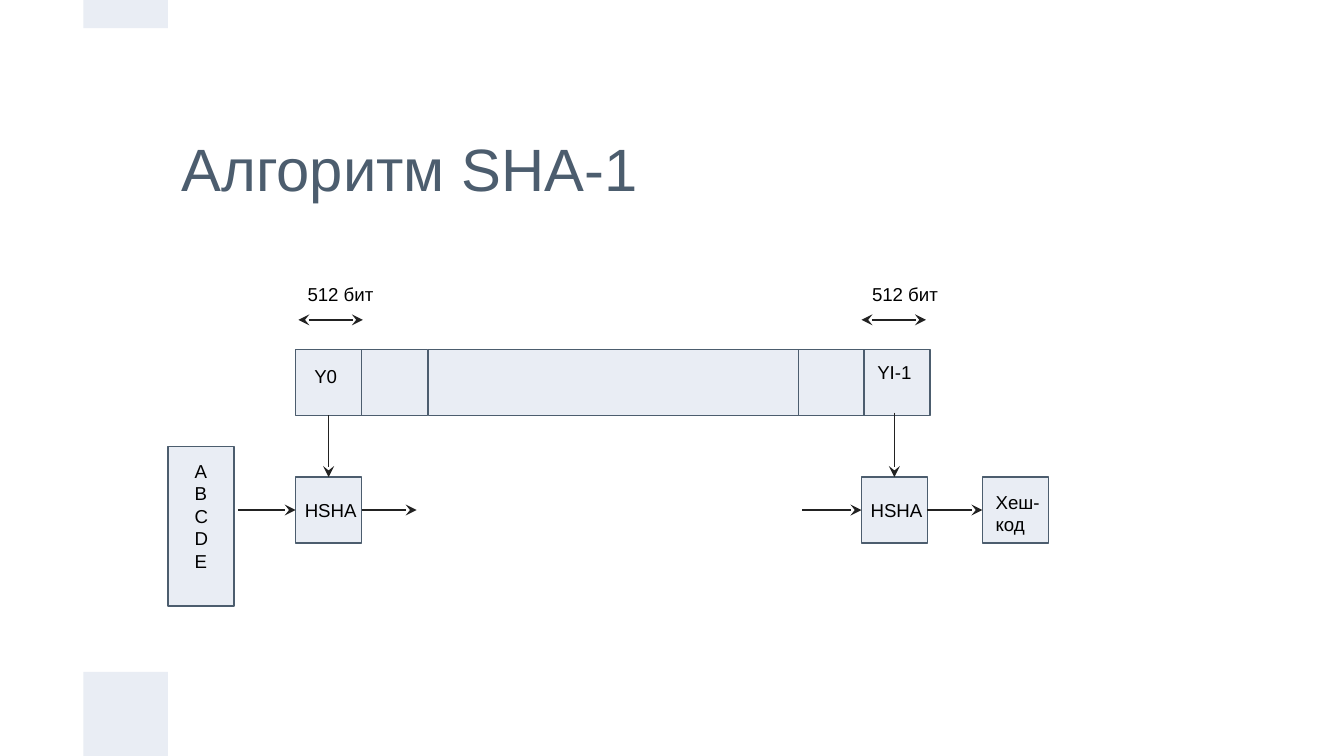
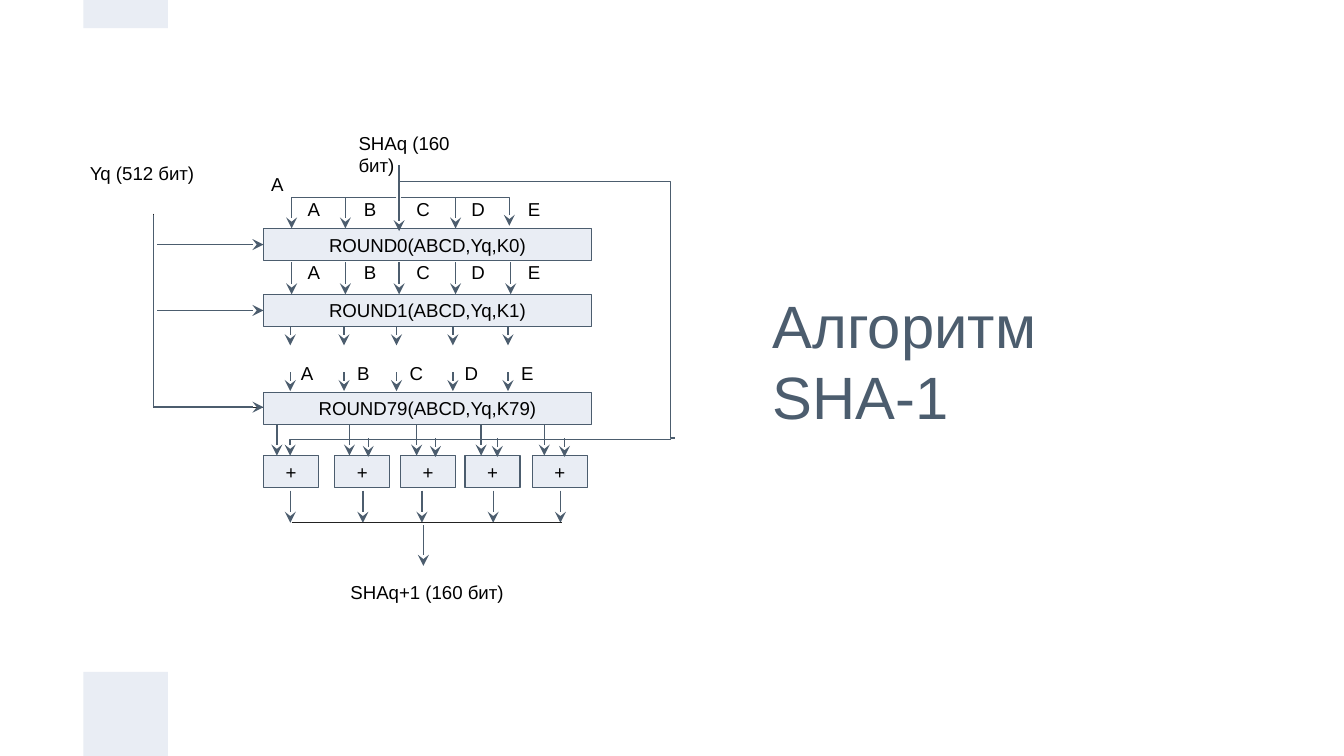
import lxml.etree
import pptx
import pptx.dml.color
import pptx.enum.shapes
import pptx.enum.text
import pptx.oxml.ns
import pptx.util

Inches = pptx.util.Inches
Pt = pptx.util.Pt
qn = pptx.oxml.ns.qn
RGBColor = pptx.dml.color.RGBColor
RECT = pptx.enum.shapes.MSO_SHAPE.RECTANGLE
KIND = pptx.enum.shapes.MSO_CONNECTOR
ALIGN = pptx.enum.text.PP_ALIGN
ANCHOR = pptx.enum.text.MSO_ANCHOR

PALE = RGBColor(0xE9, 0xED, 0xF4)
SLATE = RGBColor(0x4C, 0x5D, 0x6E)
DARK = RGBColor(0x22, 0x22, 0x22)
BLACK = RGBColor(0, 0, 0)
TOP, LEFT, BOTTOM, RIGHT = range(4)


def box(slide, x, y, w, h, text="", filled=True):
    place = [Inches(v) for v in (x, y, w, h)]
    if filled:
        shape = slide.shapes.add_shape(RECT, *place)
        shape.shadow.inherit = False
        shape.fill.solid()
        shape.fill.fore_color.rgb = PALE
        shape.line.color.rgb = SLATE
        shape.line.width = Pt(0.75)
    else:
        shape = slide.shapes.add_textbox(*place)
    frame = shape.text_frame
    frame.word_wrap = True
    frame.vertical_anchor = ANCHOR.MIDDLE if filled else ANCHOR.TOP
    frame.margin_left = frame.margin_right = Inches(0.1)
    frame.margin_top = frame.margin_bottom = Inches(0.1)
    frame.text = text
    for para in frame.paragraphs:
        para.alignment = ALIGN.CENTER if filled else ALIGN.LEFT
        for run in para.runs:
            run.font.name = "Arial"
            run.font.size = Pt(10)
            run.font.color.rgb = BLACK
    return shape


def link(slide, x1, y1, x2, y2, color=SLATE, ends=("tailEnd",), bend=None):
    kind = KIND.STRAIGHT if bend is None else KIND.ELBOW
    line = slide.shapes.add_connector(kind, *[Inches(v) for v in (x1, y1, x2, y2)])
    line.line.color.rgb = color
    line.line.width = Pt(0.75)
    props = line.element.spPr
    for end in ends:
        lxml.etree.SubElement(props.get_or_add_ln(), qn("a:" + end), type="stealth")
    lxml.etree.SubElement(props, qn("a:effectLst"))
    if bend == 1:
        props.prstGeom.set("prst", "bentConnector2")
    elif bend is not None:
        guides = props.prstGeom.find(qn("a:avLst"))
        lxml.etree.SubElement(guides, qn("a:gd"), name="adj1", fmla=f"val {round(bend * 100000)}")
    return line


deck = pptx.Presentation()
deck.slide_width = Inches(10)
deck.slide_height = deck.slide_width * 9 // 16

slides = []
for place in [(1.25, 0.62, 7.5, 1.25), (5.65, 0.85, 3.1, 3.66)]:
    slide = deck.slides.add_slide(deck.slide_layouts[5])
    for y, h in [(5, 0.63), (0, 0.21)]:
        band = box(slide, 0.62, y, 0.63, h)
        band.line.fill.background()
    title = slide.shapes.title
    title.left, title.top, title.width, title.height = [Inches(v) for v in place]
    frame = title.text_frame
    frame.text = "Алгоритм SHA-1"
    frame.word_wrap = True
    frame.vertical_anchor = ANCHOR.MIDDLE
    frame.margin_left = frame.margin_right = Inches(0.1)
    frame.margin_top = frame.margin_bottom = Inches(0.1)
    para = frame.paragraphs[0]
    para.alignment = ALIGN.LEFT
    font = para.runs[0].font
    font.name = "Arial"
    font.size = Pt(32)
    font.color.rgb = SLATE
    slides.append(slide)

chain, steps = slides

side = 0.49
blocks = [box(chain, x, 2.6, w, side) for x, w in
          [(2.2, side), (2.69, side), (3.19, 2.75), (5.94, side), (6.43, side)]]
box(chain, 1.25, 3.32, side, 1.19)
first, last, code = [box(chain, x, 3.55, side, side) for x in (2.2, 6.41, 7.31)]

for x in (2.22, 6.41):
    link(chain, x, 2.38, x + 0.48, 2.38, DARK, ("headEnd", "tailEnd"))
feed = link(chain, 2.45, 3.09, 2.45, 3.55, DARK)
feed.begin_connect(blocks[0], BOTTOM)
feed.end_connect(first, TOP)
mid = 6.41 + side / 2
link(chain, mid, 3.07, mid, 3.55, DARK).end_connect(last, TOP)
row = 3.55 + side / 2
link(chain, 1.77, row, 2.2, row, DARK).end_connect(first, LEFT)
link(chain, 2.69, row, 3.1, row, DARK).begin_connect(first, RIGHT)
link(chain, 5.97, row, 6.41, row, DARK).end_connect(last, LEFT)
result = link(chain, 6.9, row, 7.31, row, DARK)
result.begin_connect(last, RIGHT)
result.end_connect(code, LEFT)

for x, y, w, h, text in [
    (2.24, 2.63, 0.49, 0.49, "Y0"),
    (6.43, 2.6, 0.6, 0.49, "YI-1"),
    (2.17, 3.63, 0.6, 0.49, "HSHA"),
    (6.38, 3.63, 0.6, 0.49, "HSHA"),
    (1.35, 3.32, 0.28, 1.19, "ABCDE"),
    (7.31, 3.55, 0.55, 0.49, "Хеш-\nкод"),
    (2.19, 2.02, 0.84, 0.49, "512 бит"),
    (6.39, 2.02, 0.84, 0.49, "512 бит"),
]:
    box(chain, x, y, w, h, text, False)

rounds = [box(steps, 1.96, y, 2.44, 0.24, f"ROUND{n}(ABCD,Yq,K{n})")
          for y, n in [(1.7, 0), (2.19, 1), (2.92, 79)]]
for x in (1.96, 2.49, 2.98, 3.46, 3.96):
    box(steps, x, 3.39, 0.41, 0.24, "+")

link(steps, 1.14, 1.59, 1.96, 3.03, DARK, (), 0)
link(steps, 1.14, 1.6, 1.96, 3.03, bend=0)
for y, target in zip((1.82, 2.31), rounds):
    link(steps, 1.17, y, 1.96, y).end_connect(target, LEFT)

link(steps, 2.97, 1.23, 2.97, 1.72)
link(steps, 2.95, 1.47, 2.17, 1.7, bend=1)
link(steps, 2.98, 1.47, 3.79, 1.68, bend=1)
link(steps, 2.98, 1.35, 5.02, 3.26, ends=(), bend=0.985)
link(steps, 4.99, 3.27, 2.16, 3.39, bend=1)

for y1, y2, columns in [
    (1.47, 1.7, (2.57, 3.39)),
    (1.95, 2.19, (2.17, 2.57, 2.97, 3.39, 3.8)),
    (2.43, 2.57, (2.16, 2.56, 2.95, 3.37, 3.78)),
    (2.77, 2.91, (2.16, 2.56, 2.95, 3.37, 3.78)),
    (3.16, 3.39, (2.06, 2.6, 3.1, 3.58, 4.05)),
    (3.26, 3.4, (2.74, 3.24, 3.7, 4.2)),
    (3.65, 3.89, (2.16, 2.7, 3.14, 3.67, 4.17)),
    (3.91, 4.21, (3.15,)),
]:
    for x in columns:
        link(steps, x, y1, x, y2)
link(steps, 2.17, 3.89, 4.18, 3.89, DARK, ())

for x, y, w, h, text in [
    (2.57, 0.88, 1.17, 0.35, "SHAq (160 бит)"),
    (0.57, 1.12, 1.17, 0.35, "Yq (512 бит)"),
    (2.51, 4.24, 1.36, 0.35, "SHAq+1 (160 бит)"),
    (1.92, 1.2, 0.33, 0.3, "A"),
]:
    box(steps, x, y, w, h, text, False)
for y, shift in [(1.39, 0), (1.86, 0), (2.61, 0.05)]:
    for letter, x in zip("ABCDE", (2.19, 2.61, 3, 3.41, 3.83)):
        box(steps, x - shift, y, 0.33, 0.3, letter, False)

deck.save("out.pptx")
